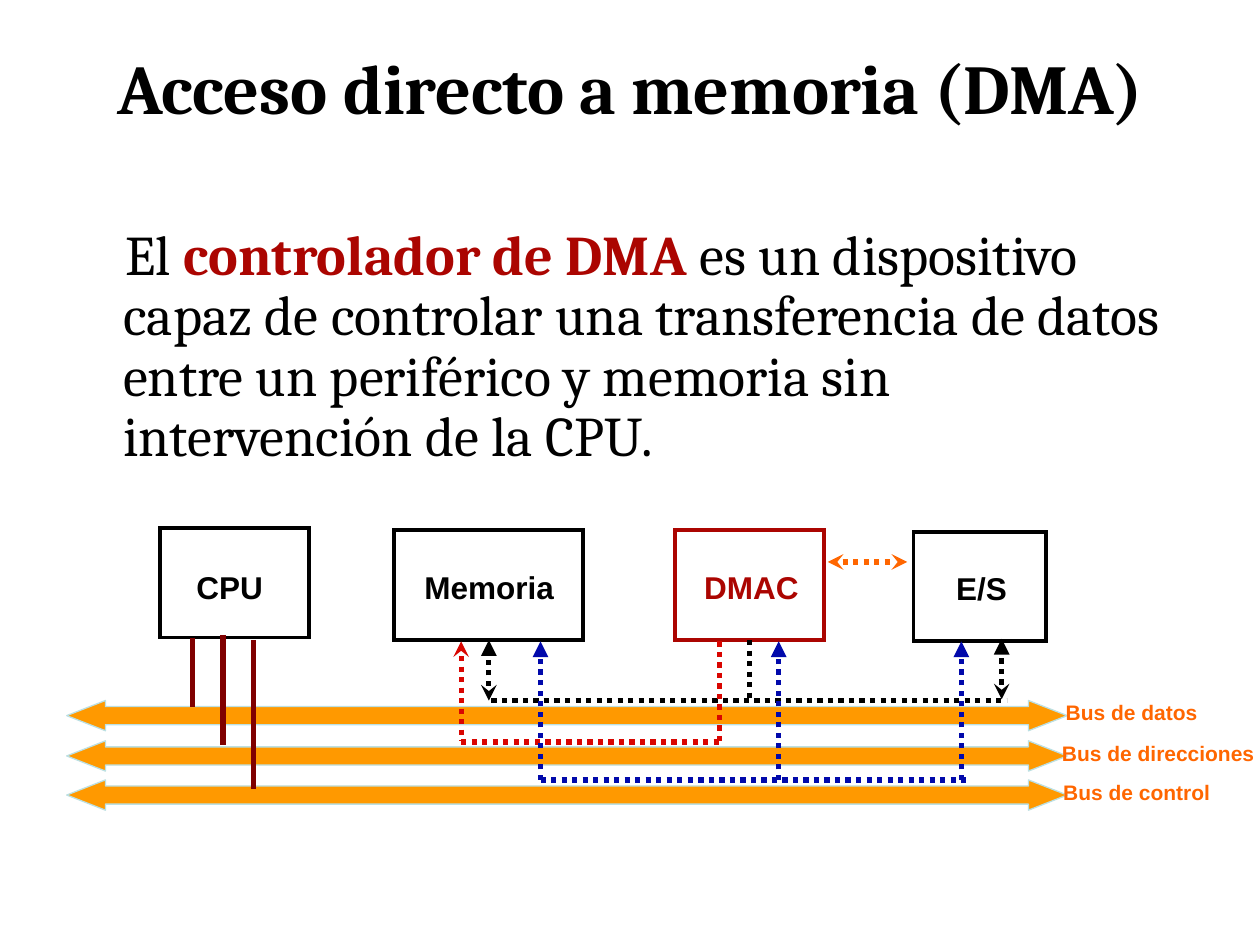
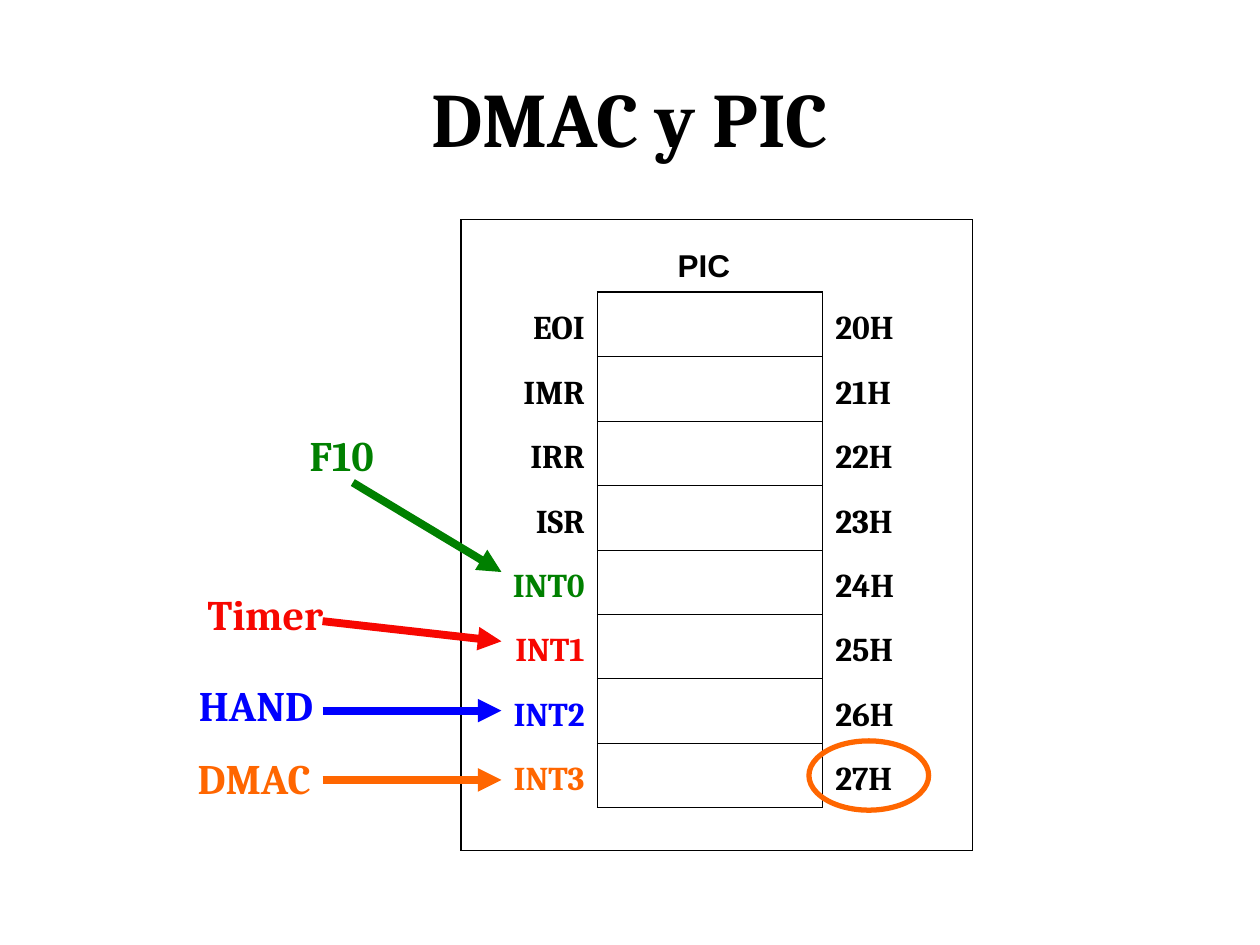
import pptx
import pptx.util
import pptx.dml.color
import pptx.enum.dml
import pptx.enum.shapes
import pptx.enum.text
import pptx.oxml
import pptx.oxml.ns
from lxml import etree

Inches, Pt = pptx.util.Inches, pptx.util.Pt
rgb = pptx.dml.color.RGBColor.from_string
qn = pptx.oxml.ns.qn
SHAPE = pptx.enum.shapes.MSO_SHAPE
ALIGN = pptx.enum.text.PP_ALIGN
ANCHOR = pptx.enum.text.MSO_ANCHOR
AUTO = pptx.enum.text.MSO_AUTO_SIZE

SERIF, SANS = "Cambria", "Arial"
BLACK, DARK_RED, ORANGE = "000000", "AB0501", "FF6600"
RED, NAVY, MAROON = "D90601", "0109AB", "800000"
GREEN, BRIGHT_RED, BLUE = "008000", "F70701", "0000FF"


def add_run(p, text, size, color, font=SANS, bold=True):
    r = p.add_run()
    r.text = text
    r.font.size = Pt(size)
    r.font.name = font
    r.font.bold = bold
    r.font.color.rgb = rgb(color)


def add_line(s, x1, y1, x2, y2, color, width=3, dotted=False, head=None, tail=None):
    """Straight line; head is the arrowhead at the start, tail the one at the end."""
    c = s.shapes.add_connector(pptx.enum.shapes.MSO_CONNECTOR.STRAIGHT,
                               Inches(x1), Inches(y1), Inches(x2), Inches(y2))
    c.line.color.rgb = rgb(color)
    c.line.width = Pt(width)
    if dotted:
        c.line.dash_style = pptx.enum.dml.MSO_LINE.ROUND_DOT
    ln = c.line._get_or_add_ln()
    for tag, kind in (("a:headEnd", head), ("a:tailEnd", tail)):
        if kind:
            etree.SubElement(ln, qn(tag), type=kind)
    etree.SubElement(c._element.spPr, qn("a:effectLst"))
    return c


prs = pptx.Presentation()
prs.slide_width, prs.slide_height = Inches(10), Inches(7.5)

# Slides and titles
slides = []
for title, size, anchor in (("Acceso directo a memoria (DMA)", 40, ANCHOR.TOP),
                            ("DMAC y PIC", 44, ANCHOR.MIDDLE)):
    s = prs.slides.add_slide(prs.slide_layouts[5])
    sp = s.shapes.title
    sp.left, sp.top, sp.width, sp.height = Inches(0.5), Inches(0.3), Inches(9), Inches(1.25)
    tf = sp.text_frame
    tf.auto_size = AUTO.NONE
    tf.vertical_anchor = anchor
    p = tf.paragraphs[0]
    p.alignment = ALIGN.CENTER
    add_run(p, title, size, BLACK, SERIF)
    slides.append(s)
dma, pic = slides

# Definition of the DMA controller
tf = dma.shapes.add_textbox(Inches(0.5), Inches(1.75), Inches(9), Inches(2.08)).text_frame
tf.word_wrap = True
p = tf.paragraphs[0]
p.line_spacing = 0.9
p.space_before = Pt(8)
pPr = p._p.get_or_add_pPr()
pPr.set("marL", str(Inches(0.38)))
pPr.set("indent", str(Inches(0.02)))
add_run(p, "El ", 32, BLACK, SERIF, False)
add_run(p, "controlador de DMA", 32, DARK_RED, SERIF)
add_run(p, " es un dispositivo capaz de controlar una transferencia de datos entre "
        "un periférico y memoria sin intervención de la CPU.", 32, BLACK, SERIF, False)

# PIC registers, placed behind the frame and the ellipse
registers = (("EOI", BLACK), ("IMR", BLACK), ("IRR", BLACK), ("ISR", BLACK),
             ("INT0", GREEN), ("INT1", BRIGHT_RED), ("INT2", BLUE), ("INT3", ORANGE))
table = pic.shapes.add_table(len(registers), 3, Inches(3.82), Inches(2.32),
                             Inches(3.51), Inches(4.09)).table
table.first_row = table.horz_banding = False
for column, width in zip(table.columns, (0.92, 1.79, 0.8)):
    column.width = Inches(width)
for i, (register, color) in enumerate(registers):
    texts = ((register, color, ALIGN.RIGHT), None, (f"{20 + i}H", BLACK, ALIGN.LEFT))
    top = 1.08 if i == 0 else 0.45
    bottom = 1.08 if i == len(registers) - 1 else 0.45
    borders = ({"R": 0.45}, {"L": 0.45, "R": 0.45, "T": top, "B": bottom}, {"L": 0.45})
    for j in range(3):
        cell = table.cell(i, j)
        tcPr = cell._tc.get_or_add_tcPr()
        for side in "LRTB":
            width = borders[j].get(side, 0)
            ln = etree.SubElement(tcPr, qn(f"a:ln{side}"), w=str(Pt(width)))
            if width:
                fill = etree.SubElement(ln, qn("a:solidFill"))
                etree.SubElement(fill, qn("a:srgbClr"), val=BLACK)
            else:
                etree.SubElement(ln, qn("a:noFill"))
        cell.fill.background()
        if texts[j]:
            text, text_color, align = texts[j]
            p = cell.text_frame.paragraphs[0]
            p.alignment = align
            p.line_spacing = 1.3
            p.space_before = Pt(4.8)
            add_run(p, text, 19, text_color, SERIF)

# Outlined shapes: slide, preset, left, top, width, height, colour, line width
outlines = []
for s, preset, x, y, w, h, color, width in (
        (dma, SHAPE.RECTANGLE, 1.27, 4.19, 1.18, 0.87, BLACK, 2.25),
        (dma, SHAPE.RECTANGLE, 3.13, 4.21, 1.5, 0.87, BLACK, 2.25),
        (dma, SHAPE.RECTANGLE, 5.36, 4.21, 1.18, 0.87, DARK_RED, 2.25),
        (dma, SHAPE.RECTANGLE, 7.25, 4.22, 1.05, 0.87, BLACK, 2.25),
        (pic, SHAPE.RECTANGLE, 3.66, 1.74, 4.06, 5.01, BLACK, 0.75),
        (pic, SHAPE.OVAL, 6.42, 5.88, 0.95, 0.55, ORANGE, 3)):
    sp = s.shapes.add_shape(preset, Inches(x), Inches(y), Inches(w), Inches(h))
    sp.shadow.inherit = False
    sp.fill.background()
    sp.line.color.rgb = rgb(color)
    sp.line.width = Pt(width)
    etree.SubElement(sp.line._get_or_add_ln(), qn("a:miter"), lim="800000")
    outlines.append(sp)
cpu, memory, dmac = outlines[:3]

# Buses
for y in (5.56, 5.88, 6.19):
    sp = dma.shapes.add_shape(SHAPE.LEFT_RIGHT_ARROW, Inches(0.53), Inches(y),
                              Inches(7.94), Inches(0.24))
    sp.shadow.inherit = False
    sp.adjustments[0], sp.adjustments[1] = 0.6, 1.28
    sp.fill.solid()
    sp.fill.fore_color.rgb = rgb("FF9900")
    sp.line.color.rgb = rgb("BBE0E3")
    sp.line.width = Pt(0.75)

# CPU to the three buses
for x, top, bottom in ((1.53, 5.06, 5.61), (1.77, 5.04, 5.91), (2.01, 5.08, 6.26)):
    add_line(dma, x, top, x, bottom, MAROON)

# Data path
add_line(dma, 3.9, 5.56, 7.99, 5.56, BLACK, dotted=True)
c = add_line(dma, 3.88, 5.56, 3.88, 5.08, BLACK, dotted=True, head="stealth", tail="triangle")
c.end_connect(memory, 2)
add_line(dma, 7.95, 5.55, 7.95, 5.07, BLACK, dotted=True, head="stealth", tail="triangle")
c = add_line(dma, 5.95, 5.08, 5.95, 5.56, BLACK, dotted=True)
c.begin_connect(dmac, 2)

# Address path
add_line(dma, 5.71, 5.09, 5.71, 5.88, RED, dotted=True)
add_line(dma, 3.66, 5.09, 3.66, 5.88, RED, dotted=True, head="stealth")
add_line(dma, 3.66, 5.89, 5.71, 5.89, RED, dotted=True)

# Control path
add_line(dma, 4.29, 6.19, 7.68, 6.19, NAVY, dotted=True)
for x in (4.29, 7.63, 6.18):
    add_line(dma, x, 6.19, x, 5.09, NAVY, dotted=True, tail="triangle")

# DMAC to E/S
add_line(dma, 6.57, 4.46, 7.2, 4.46, ORANGE, dotted=True, head="stealth", tail="stealth")

# Interrupt sources
for x, y1, y2, color in ((2.8, 3.83, 4.54, GREEN), (2.56, 4.93, 5.09, BRIGHT_RED),
                         (2.56, 5.64, 5.64, BLUE), (2.56, 6.19, 6.19, ORANGE)):
    add_line(pic, x, y1, 3.98, y2, color, width=4.5, tail="triangle")

# Labels: slide, text, left, top, width, height, size, colour, font
for s, text, x, y, w, h, size, color, font in (
        (dma, "CPU", 1.46, 4.46, 0.75, 0.4, 18, BLACK, SANS),
        (dma, "Memoria", 3.27, 4.46, 1.25, 0.4, 18, BLACK, SANS),
        (dma, "DMAC", 5.49, 4.46, 0.97, 0.4, 18, DARK_RED, SANS),
        (dma, "E/S", 7.49, 4.47, 0.62, 0.4, 18, BLACK, SANS),
        (dma, "Bus de datos", 8.36, 5.5, 1.28, 0.3, 12, ORANGE, SANS),
        (dma, "Bus de direcciones", 8.33, 5.83, 1.75, 0.3, 12, ORANGE, SANS),
        (dma, "Bus de control", 8.34, 6.14, 1.4, 0.3, 12, ORANGE, SANS),
        (pic, "PIC", 5.28, 1.9, 0.65, 0.4, 18, BLACK, SANS),
        (pic, "F10", 2.36, 3.36, 0.73, 0.5, 24, GREEN, SERIF),
        (pic, "Timer", 1.55, 4.62, 1.14, 0.5, 24, BRIGHT_RED, SERIF),
        (pic, "HAND", 1.48, 5.34, 1.13, 0.5, 24, BLUE, SERIF),
        (pic, "DMAC", 1.47, 5.92, 1.12, 0.5, 24, ORANGE, SERIF)):
    tf = s.shapes.add_textbox(Inches(x), Inches(y), Inches(w), Inches(h)).text_frame
    tf.word_wrap = False
    tf.auto_size = AUTO.SHAPE_TO_FIT_TEXT
    add_run(tf.paragraphs[0], text, size, color, font)

prs.save("out.pptx")
